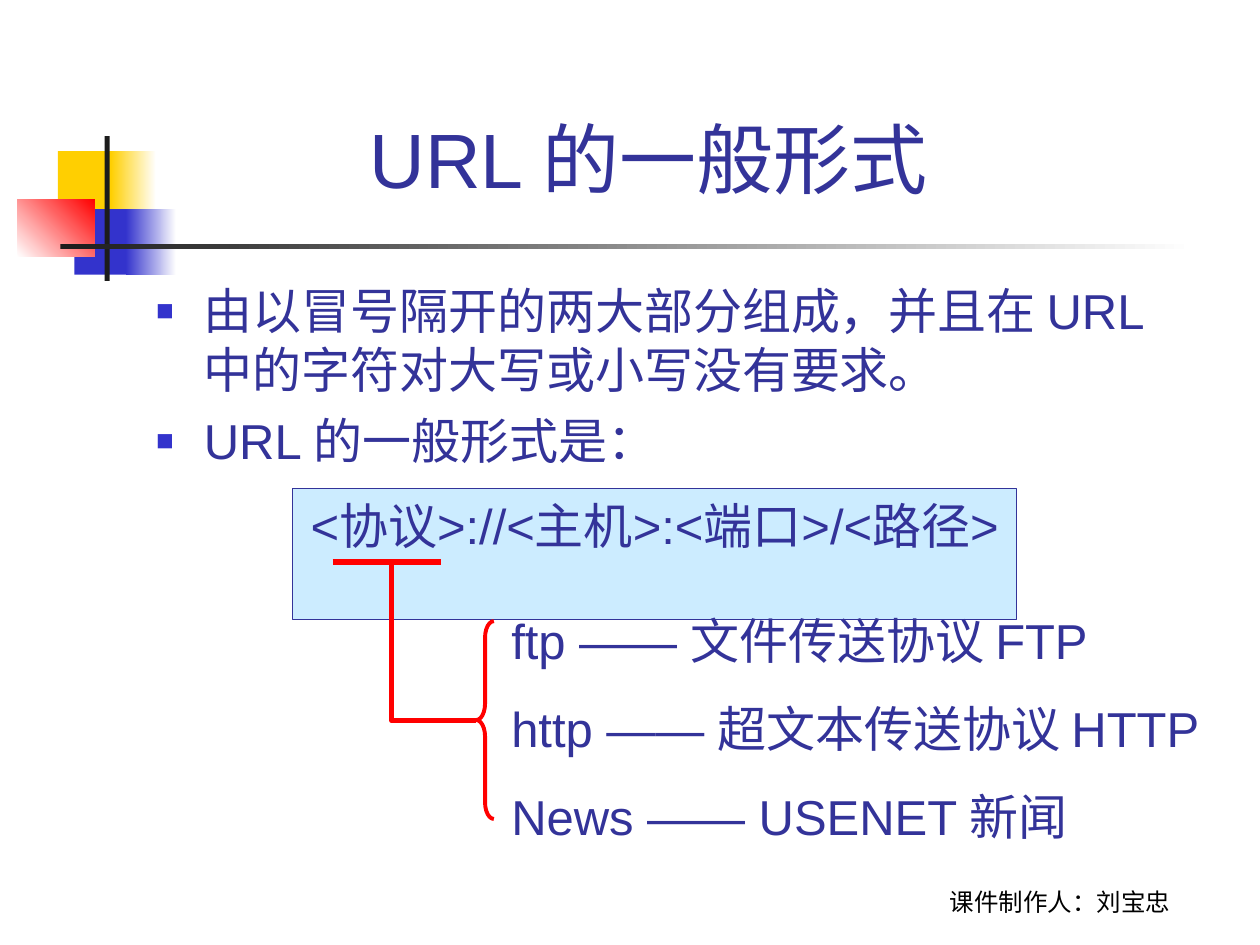
from dataclasses import dataclass, field

from lxml import etree
from pptx import Presentation
from pptx import util as u
from pptx.dml.color import RGBColor
from pptx.enum import shapes, text
from pptx.oxml import ns

PX = 9144
NAVY, RED, WHITE, BLACK = "333399", "FF0000", "FFFFFF", "1C1C1C"
GOLD, BLUE = "FFCF01", "3333CC"
MID = text.PP_ALIGN.CENTER
LOW = text.MSO_ANCHOR.BOTTOM
GROW = text.MSO_AUTO_SIZE.SHAPE_TO_FIT_TEXT


@dataclass
class Block:
    box: tuple[int, int, int, int]
    tint: tuple[str, ...]
    angle: int = 0


@dataclass
class Note:
    box: tuple[int, int, int, int]
    lines: tuple[str, ...]
    size: int = 28
    tone: str = NAVY
    face: str = "Arial"
    frame: dict = field(default_factory=dict)
    para: dict = field(default_factory=dict)
    gap: int = 0
    mark: bool = False


def px(*nums: int) -> list[u.Emu]:
    return [u.Emu(n * PX) for n in nums]


def color(code: str) -> RGBColor:
    return RGBColor.from_string(code)


def apply(item, vals: dict) -> None:
    for key, val in vals.items():
        setattr(item, key, val)


def stroke(line, code: str, width: float) -> None:
    line.color.rgb = color(code)
    line.width = u.Pt(width)


def paint(fill, tint: tuple[str, ...], angle: int = 0) -> None:
    if len(tint) == 1:
        fill.solid()
        fill.fore_color.rgb = color(tint[0])
        return
    fill.gradient()
    fill.gradient_angle = angle
    for stop, code, pos in zip(fill.gradient_stops, tint, (0, 1)):
        stop.color.rgb = color(code)
        stop.position = pos


def block(slide, item: Block):
    shape = slide.shapes.add_shape(shapes.MSO_SHAPE.RECTANGLE, *px(*item.box))
    shape.shadow.inherit = False
    shape.line.fill.background()
    paint(shape.fill, item.tint, item.angle)
    return shape


def bullet(para) -> None:
    props = para._p.get_or_add_pPr()
    for key, val in {"marL": 38 * PX, "indent": -38 * PX}.items():
        props.set(key, str(val))
    tone = etree.SubElement(props, ns.qn("a:buClr"))
    etree.SubElement(tone, ns.qn("a:srgbClr"), val=BLUE)
    etree.SubElement(props, ns.qn("a:buSzPct"), val="60000")
    etree.SubElement(props, ns.qn("a:buFont"), typeface="Arial")
    etree.SubElement(props, ns.qn("a:buChar"), char="■")


def write(frame, note: Note) -> None:
    apply(frame, {"word_wrap": True, "vertical_anchor": text.MSO_ANCHOR.TOP} | note.frame)
    for i, line in enumerate(note.lines):
        para = frame.add_paragraph() if i else frame.paragraphs[0]
        if note.mark:
            bullet(para)
        apply(para, note.para)
        if i and note.gap:
            para.space_before = u.Pt(note.gap)
        run = para.add_run()
        run.text = line
        apply(run.font, {"size": u.Pt(note.size), "name": note.face})
        run.font.color.rgb = color(note.tone)


def label(slide, note: Note) -> None:
    write(slide.shapes.add_textbox(*px(*note.box)).text_frame, note)


def bracket(slide) -> None:
    bar = slide.shapes.add_connector(
        shapes.MSO_CONNECTOR.STRAIGHT, *px(264, 446, 350, 446))
    stroke(bar.line, RED, 3)
    etree.SubElement(bar._element.spPr, ns.qn("a:effectLst"))

    path = slide.shapes.build_freeform(311, 446, scale=PX)
    path.add_line_segments([(311, 572), (378, 572)], close=False)
    elbow = path.convert_to_shape()
    brace = slide.shapes.add_shape(
        shapes.MSO_SHAPE.LEFT_BRACE, *px(378, 493, 14, 157))
    brace.adjustments[0] = 0.93
    for shape, width in ((elbow, 3), (brace, 2.25)):
        shape.shadow.inherit = False
        shape.fill.background()
        stroke(shape.line, RED, width)


BLOCKS = [
    Block((46, 120, 48, 52), (GOLD,)),
    Block((88, 120, 36, 52), (GOLD, WHITE)),
    Block((59, 166, 46, 52), (BLUE,)),
    Block((100, 166, 40, 52), (BLUE, WHITE)),
    Block((14, 158, 61, 46), (WHITE, RED), 45),
    Block((83, 108, 4, 115), (BLACK,)),
    Block((48, 194, 900, 4), (BLACK, WHITE)),
]
NOTES = [
    Note((683, 682, 317, 50), ("课件制作人：刘宝忠",), 14, "000000", "Roboto",
         {"vertical_anchor": LOW}, {"alignment": MID}),
    Note((126, 75, 791, 92), ("URL 的一般形式 ",), 44,
         frame={"vertical_anchor": LOW}, para={"alignment": MID}),
    Note((114, 218, 850, 212),
         ("由以冒号隔开的两大部分组成，并且在 URL 中的字符对大写或小写没有要求。",
          "URL 的一般形式是："), gap=7, mark=True),
]
FORM = Note((232, 388, 575, 104), ("<协议>://<主机>:<端口>/<路径> ",),
            para={"alignment": MID})
KINDS = Note((396, 456, 590, 220),
             ("ftp —— 文件传送协议 FTP", "http —— 超文本传送协议 HTTP",
              "News —— USENET 新闻"),
             frame={"auto_size": GROW}, para={"line_spacing": 1.5})


def main() -> None:
    deck = Presentation()
    deck.slide_width, deck.slide_height = px(1000, 750)
    slide = deck.slides.add_slide(deck.slide_layouts[6])
    for item in BLOCKS:
        block(slide, item)
    for note in NOTES:
        label(slide, note)
    panel = block(slide, Block(FORM.box, ("CCECFF",)))
    stroke(panel.line, NAVY, 0.75)
    write(panel.text_frame, FORM)
    bracket(slide)
    label(slide, KINDS)
    deck.save("out.pptx")


if __name__ == "__main__":
    main()
